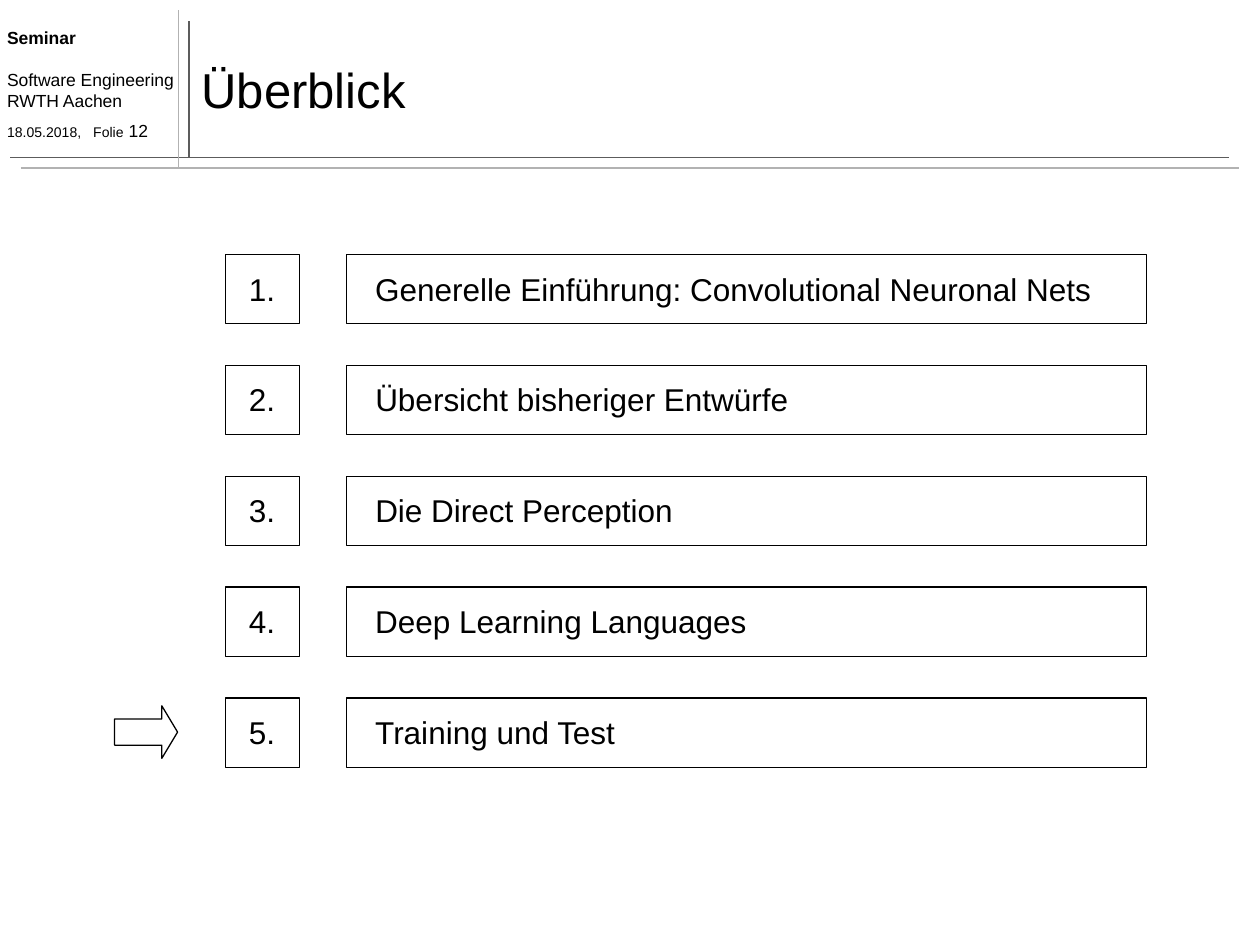
"""Build the seminar overview slide with five agenda items and a marker at the current one."""
from dataclasses import dataclass
from typing import Optional

from lxml.etree import SubElement
from pptx import Presentation
from pptx.dml.color import RGBColor
from pptx.enum.shapes import MSO_CONNECTOR, MSO_SHAPE
from pptx.enum.text import MSO_ANCHOR, MSO_AUTO_SIZE, PP_ALIGN
from pptx.oxml.ns import qn
from pptx.util import Inches, Pt

COLORS = {"ink": "000000", "dark_rule": "5C5C5C", "light_rule": "B2B2B2"}
FONT = "Arial"
CELL = Inches(10) / 120
ITEM_TOP, ITEM_PITCH, ITEM_HEIGHT = 24.24, 10.56, 6.6
LABEL_DROP, LABEL_HEIGHT = 0.84, 4.8
CURRENT_ITEM = 5


@dataclass(frozen=True)
class Area:
    column: float
    row: float
    columns: float
    rows: float

    def emu(self) -> tuple[int, ...]:
        return tuple(round(n * CELL) for n in (self.column, self.row, self.columns, self.rows))


@dataclass(frozen=True)
class Rule:
    start: tuple[float, float]
    end: tuple[float, float]
    color: str


@dataclass(frozen=True)
class Item:
    topic: str
    topic_columns: float


@dataclass(frozen=True)
class HeaderLine:
    wording: tuple[tuple[str, int], ...]
    bold: bool = False
    space_before: int = 0
    tab: Optional[float] = None


RULES = (
    Rule((18, 15), (18, 2), "dark_rule"),
    Rule((1, 15), (117, 15), "dark_rule"),
    Rule((2, 16), (118, 16), "light_rule"),
    Rule((17, 16), (17, 1), "light_rule"),
)
HEADER = (
    HeaderLine((("Seminar", 10),), bold=True),
    HeaderLine((("Software Engineering", 10),), space_before=12),
    HeaderLine((("RWTH Aachen", 10),)),
    HeaderLine((("18.05.2018,\tFolie", 8), (" 12", 10)), space_before=5, tab=8.2),
)
ITEMS = (
    Item("Generelle Einführung: Convolutional Neuronal Nets", 71.3),
    Item("Übersicht bisheriger Entwürfe", 42.1),
    Item("Die Direct Perception", 31.1),
    Item("Deep Learning Languages", 38.2),
    Item("Training und Test", 25.4),
)


def add_run(paragraph, text: str, size: int, bold: bool = False) -> None:
    run = paragraph.add_run()
    run.text = text
    run.font.name = FONT
    run.font.size = Pt(size)
    run.font.bold = bold
    run.font.color.rgb = RGBColor.from_string(COLORS["ink"])


def draw_rule(slide, rule: Rule) -> None:
    ends = [round(n * CELL) for n in (*rule.start, *rule.end)]
    connector = slide.shapes.add_connector(MSO_CONNECTOR.STRAIGHT, *ends)
    connector.line.color.rgb = RGBColor.from_string(COLORS[rule.color])
    connector.line.width = Pt(1)
    SubElement(connector._element.spPr, qn("a:effectLst"))


def draw_header(slide) -> None:
    frame = slide.shapes.add_textbox(*Area(-0.5, 2, 18.5, 12.4).emu()).text_frame
    frame.word_wrap = True
    for index, line in enumerate(HEADER):
        paragraph = frame.add_paragraph() if index else frame.paragraphs[0]
        paragraph.space_before = Pt(line.space_before)
        if line.tab:
            tabs = SubElement(paragraph._p.get_or_add_pPr(), qn("a:tabLst"))
            SubElement(tabs, qn("a:tab"), pos=str(round(line.tab * CELL)), algn="l")
        for text, size in line.wording:
            add_run(paragraph, text, size, line.bold)


def draw_title(slide, text: str) -> None:
    title = slide.shapes.title
    title.left, title.top, title.width, title.height = Area(18, 3, 100, 11).emu()
    frame = title.text_frame
    frame.auto_size = MSO_AUTO_SIZE.NONE
    frame.vertical_anchor = MSO_ANCHOR.MIDDLE
    frame.paragraphs[0].alignment = PP_ALIGN.LEFT
    add_run(frame.paragraphs[0], text, 28)


def draw_outline(group, preset: MSO_SHAPE, area: Area):
    outline = group.shapes.add_shape(preset, *area.emu())
    outline.shadow.inherit = False
    outline.fill.background()
    outline.line.color.rgb = RGBColor.from_string(COLORS["ink"])
    outline.line.width = Pt(0.75)
    return outline


def draw_label(group, text: str, area: Area, alignment: PP_ALIGN) -> None:
    frame = group.shapes.add_textbox(*area.emu()).text_frame
    frame.word_wrap = False
    frame.auto_size = MSO_AUTO_SIZE.SHAPE_TO_FIT_TEXT
    frame.vertical_anchor = MSO_ANCHOR.MIDDLE
    frame.paragraphs[0].alignment = alignment
    add_run(frame.paragraphs[0], text, 18)


def draw_item(slide, number: int, item: Item) -> None:
    row = ITEM_TOP + (number - 1) * ITEM_PITCH
    label_row = row + LABEL_DROP
    group = slide.shapes.add_group_shape()
    draw_outline(group, MSO_SHAPE.RECTANGLE, Area(33, row, 76.2, ITEM_HEIGHT))
    draw_label(group, item.topic, Area(34.56, label_row, item.topic_columns, LABEL_HEIGHT), PP_ALIGN.LEFT)
    draw_outline(group, MSO_SHAPE.RECTANGLE, Area(21.5, row, 7, ITEM_HEIGHT))
    draw_label(group, f"{number}.", Area(22.5, label_row, 4.92, LABEL_HEIGHT), PP_ALIGN.CENTER)
    if number == CURRENT_ITEM:
        marker = draw_outline(group, MSO_SHAPE.RIGHT_ARROW, Area(10.92, row + 0.75, 6, 5))
        marker.adjustments[0] = 0.5
        marker.adjustments[1] = 0.3


def main() -> None:
    presentation = Presentation()
    presentation.slide_width, presentation.slide_height = Inches(10), Inches(7.5)
    slide = presentation.slides.add_slide(presentation.slide_layouts[5])
    for rule in RULES:
        draw_rule(slide, rule)
    draw_header(slide)
    draw_title(slide, "Überblick")
    for number, item in enumerate(ITEMS, start=1):
        draw_item(slide, number, item)
    presentation.save("out.pptx")


if __name__ == "__main__":
    main()
